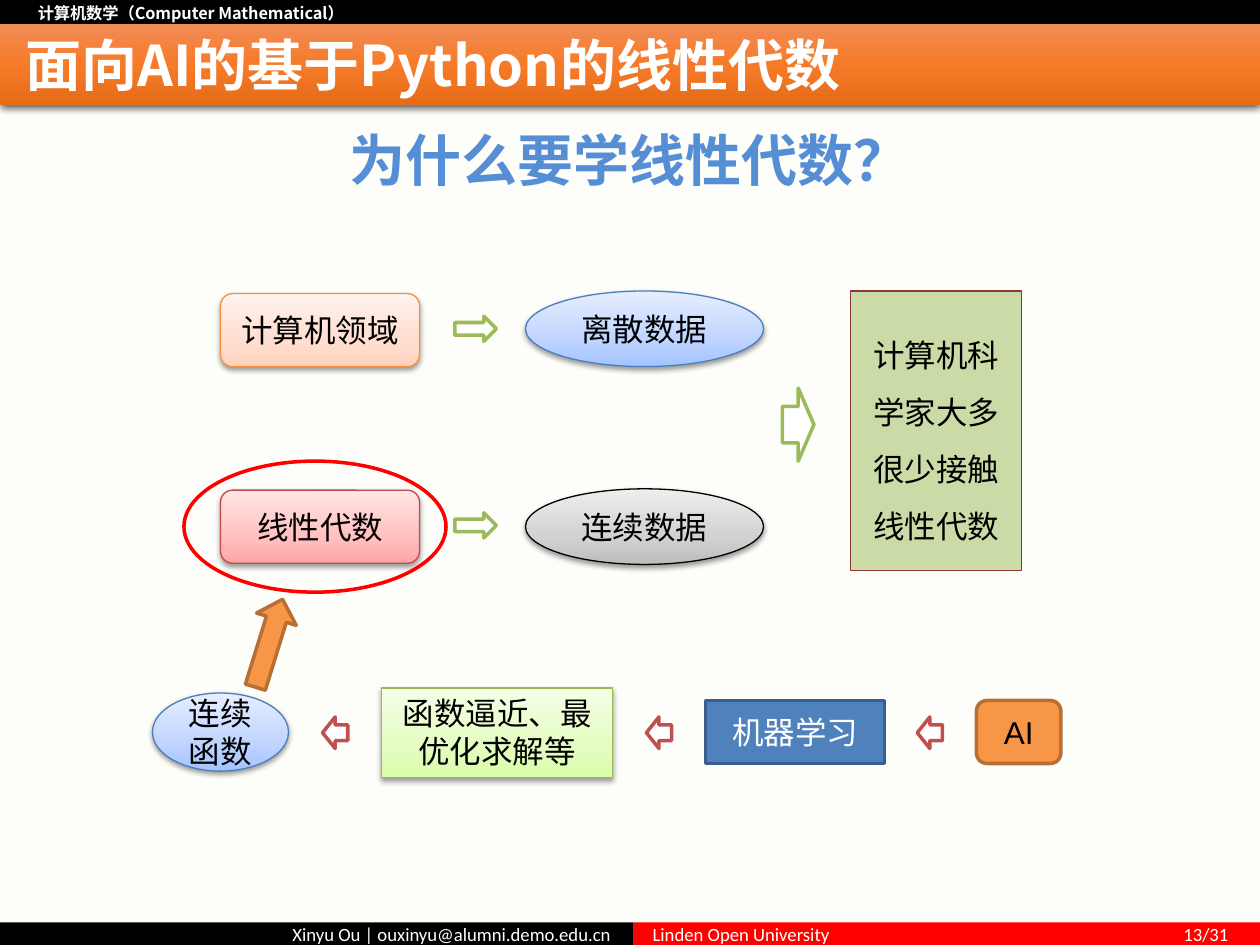
from copy import deepcopy

from lxml import etree
from pptx import Presentation
from pptx.dml.color import RGBColor
from pptx.enum.shapes import MSO_SHAPE
from pptx.enum.text import MSO_ANCHOR, PP_ALIGN
from pptx.oxml.ns import qn
from pptx.util import Inches, Pt

RECT = MSO_SHAPE.RECTANGLE
ROUND = MSO_SHAPE.ROUNDED_RECTANGLE
OVAL = MSO_SHAPE.OVAL
ARROW = MSO_SHAPE.RIGHT_ARROW
LEFT, CENTER, RIGHT = PP_ALIGN.LEFT, PP_ALIGN.CENTER, PP_ALIGN.RIGHT
TOP, MIDDLE = MSO_ANCHOR.TOP, MSO_ANCHOR.MIDDLE
CJK = "Noto Sans CJK SC"

COLORS = {
    "page": "FDFDF9", "black": "000000", "white": "FFFFFF", "red": "FF0000",
    "heading": "558ED5", "orange": "F79646", "orange_edge": "B76F34",
    "blue": "4F81BD", "blue_edge": "3A5F8C", "green": "9BBB59",
    "brick": "C0504D", "maroon": "953735", "peach_edge": "F69240",
    "sky_edge": "4B7EBC", "rose_edge": "BF4C48", "lime_edge": "98B955",
}
GRADIENTS = {
    "banner": ((0, "F18C57"), (0.5, "F67B28"), (1, "E56C19")),
    "peach": ((0, "FFD2BD"), (0.35, "FFDED0"), (1, "FFF2ED")),
    "sky": ((0, "A4C4FF"), (0.35, "BFD4FF"), (1, "E6EEFF")),
    "rose": ((0, "FFA6A5"), (0.35, "FFC0BF"), (1, "FFE7E7")),
    "grey": ((0, "BDBDBD"), (0.35, "D1D1D1"), (1, "EEEEEE")),
    "lime": ((0, "DAFDA7"), (0.35, "E4FCC2"), (1, "F5FFE7")),
}
SMALL = {"size": Pt(10.7), "name": "Calibri"}
BOLD = {"size": Pt(32), "name": CJK, "bold": True}
LABEL = {"size": Pt(18), "name": "Arial"}


def rgb(name):
    return RGBColor.from_string(COLORS[name])


def write(sp, text, fmt, color, align=CENTER, anchor=MIDDLE,
          insets=(0.1, 0.05, 0.1, 0.05), spacing=None):
    tf = sp.text_frame
    tf.word_wrap = True
    tf.vertical_anchor = anchor
    for side, value in zip(("left", "top", "right", "bottom"), insets):
        setattr(tf, f"margin_{side}", Inches(value))
    p = tf.paragraphs[0]
    p.alignment = align
    if spacing:
        p.line_spacing = spacing
    r = p.add_run()
    r.text = text
    for key, value in fmt.items():
        setattr(r.font, key, value)
    r.font.color.rgb = rgb(color)
    latin = r.font._element.find(qn("a:latin"))
    latin.addnext(latin.makeelement(qn("a:ea"), {"typeface": CJK}))


def add_text(s, box, text, fmt, color, **layout):
    sp = s.shapes.add_textbox(*map(Inches, box))
    write(sp, text, fmt, color, **layout)


def add_shape(s, kind, box, fill=None, line=None, width=0.75, rotation=0):
    sp = s.shapes.add_shape(kind, *map(Inches, box))
    sp.shadow.inherit = False
    sp.rotation = rotation
    if fill:
        sp.fill.solid()
        sp.fill.fore_color.rgb = rgb(fill)
    else:
        sp.fill.background()
    if line:
        sp.line.color.rgb = rgb(line)
        sp.line.width = Pt(width)
    else:
        sp.line.fill.background()
    return sp


def set_gradient(sp, name, angle=90):
    sp.fill.gradient()
    sp.fill.gradient_angle = angle
    stops = sp._element.spPr.find(qn("a:gradFill")).find(qn("a:gsLst"))
    stops.append(deepcopy(stops[-1]))
    for stop, (position, color) in zip(sp.fill.gradient_stops, GRADIENTS[name]):
        stop.position = position
        stop.color.rgb = RGBColor.from_string(color)


def set_shadow(sp, alpha=38, blur=3.1, dist=1.6):
    effects = sp._element.spPr.find(qn("a:effectLst"))
    outer = etree.SubElement(effects, qn("a:outerShdw"), {
        "blurRad": str(Pt(blur)), "dist": str(Pt(dist)),
        "dir": "5400000", "rotWithShape": "0"})
    color = etree.SubElement(outer, qn("a:srgbClr"), val=COLORS["black"])
    etree.SubElement(color, qn("a:alpha"), val=str(alpha * 1000))


def set_alpha(sp, percent):
    color = sp._element.spPr.find(qn("a:solidFill"))[0]
    etree.SubElement(color, qn("a:alpha"), val=str(percent * 1000))


def add_glossy(s, kind, box, gradient, line, text, anchor=MIDDLE):
    sp = add_shape(s, kind, box, line=line)
    set_gradient(sp, gradient)
    set_shadow(sp)
    write(sp, text, LABEL, "black", anchor=anchor)


def add_frame(s):
    s.background.fill.solid()
    s.background.fill.fore_color.rgb = rgb("page")
    sp = add_shape(s, RECT, (0, 0, 10, 0.21), "black")
    write(sp, "计算机数学（Computer Mathematical）",
          {"size": Pt(9.3), "name": CJK, "bold": True}, "white",
          align=LEFT, insets=(0.3, 0.04, 0.15, 0.04))
    sp = add_shape(s, RECT, (0, 7.32, 5.03, 0.18), "black")
    write(sp, "Xinyu Ou | ouxinyu@alumni.demo.edu.cn", SMALL, "white",
          align=RIGHT, insets=(0.15, 0.04, 0.18, 0.04))
    sp = add_shape(s, RECT, (5.03, 7.32, 4.97, 0.18), "red")
    footer = {"anchor": TOP, "insets": (0.15, 0, 0.15, 0)}
    write(sp, "Linden Open University", SMALL, "white", align=LEFT, **footer)
    add_text(s, (8.9, 7.32, 1, 0.18), "13/31", SMALL, "white",
             align=RIGHT, **footer)
    banner = add_shape(s, RECT, (0, 0.19, 10, 0.64))
    set_gradient(banner, "banner", 270)
    set_shadow(banner, 63, 4.5, 1.5)
    add_text(s, (0, 0.99, 10, 0.54), "为什么要学线性代数？", BOLD, "heading",
             insets=(0.28, 0, 0.28, 0))
    add_text(s, (0, 0.24, 10, 0.54), "面向AI的基于Python的线性代数", BOLD,
             "white", align=LEFT, insets=(0.2, 0, 0, 0))


def add_diagram(s):
    add_glossy(s, ROUND, (1.75, 2.33, 1.58, 0.58), "peach", "peach_edge", "计算机领域")
    add_glossy(s, OVAL, (4.17, 2.31, 1.89, 0.6), "sky", "sky_edge", "离散数据")
    add_glossy(s, ROUND, (1.75, 3.89, 1.58, 0.58), "rose", "rose_edge", "线性代数")
    add_glossy(s, OVAL, (4.17, 3.88, 1.89, 0.6), "grey", "black", "连续数据")
    note = add_shape(s, RECT, (6.75, 2.31, 1.36, 2.22), "green", "maroon")
    set_alpha(note, 50)
    write(note, "计算机科学家大多很少接触线性代数", LABEL, "black", spacing=1.5)

    ai = add_shape(s, ROUND, (7.75, 5.56, 0.67, 0.5), "orange", "orange_edge", 2)
    write(ai, "AI", LABEL, "black")
    learning = add_shape(s, RECT, (5.6, 5.56, 1.42, 0.5), "blue", "blue_edge", 2)
    write(learning, "机器学习", LABEL, "white")
    add_glossy(s, RECT, (3.03, 5.46, 1.83, 0.71), "lime", "lime_edge",
               "函数逼近、最优化求解等", TOP)
    add_glossy(s, OVAL, (1.21, 5.5, 1.08, 0.62), "sky", "sky_edge", "连续函数")

    add_shape(s, ARROW, (1.77, 4.94, 0.73, 0.33), "orange", "orange_edge", 2, 287.2)
    for box in ((3.61, 2.51, 0.33, 0.2), (3.61, 4.07, 0.33, 0.2),
                (6.21, 3.08, 0.25, 0.58)):
        add_shape(s, ARROW, box, "white", "green", 2)
    for left in (7.28, 5.13, 2.56):
        add_shape(s, ARROW, (left, 5.69, 0.2, 0.25), "white", "brick", 2, 180)
    add_shape(s, OVAL, (1.46, 3.66, 2.08, 1.04), line="red", width=2)


def main():
    prs = Presentation()
    prs.slide_width, prs.slide_height = Inches(10), Inches(7.5)
    s = prs.slides.add_slide(prs.slide_layouts[6])
    add_frame(s)
    add_diagram(s)
    prs.save("out.pptx")


if __name__ == "__main__":
    main()
